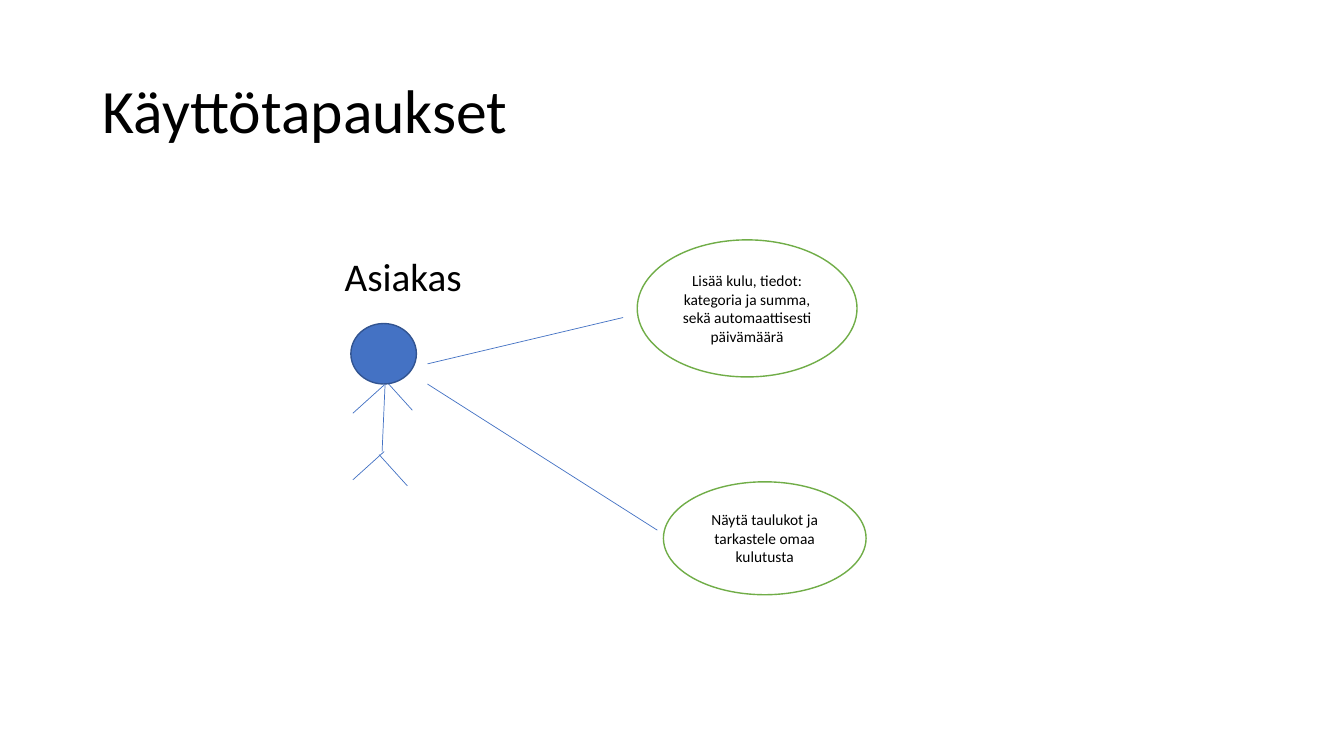
from lxml import etree
from pptx import Presentation
from pptx.dml.color import RGBColor
from pptx.enum.shapes import MSO_CONNECTOR, MSO_SHAPE
from pptx.enum.text import MSO_ANCHOR, PP_ALIGN
from pptx.oxml.ns import qn
from pptx.util import Inches, Pt

STRAIGHT = MSO_CONNECTOR.STRAIGHT
ELLIPSE = MSO_SHAPE.OVAL
MIDDLE, BOTTOM = MSO_ANCHOR.MIDDLE, MSO_ANCHOR.BOTTOM
LEFT, CENTER = PP_ALIGN.LEFT, PP_ALIGN.CENTER
TITLE_ONLY = 5

COLORS = {
    "text": "000000",
    "paper": "FFFFFF",
    "use_case": "70AD47",
    "actor": "4472C4",
    "actor_edge": "325491",
}


def color(name):
    return RGBColor.from_string(COLORS[name])


def write(frame, text, size, align=LEFT, anchor=MIDDLE, wrap=True, spacing=1.0):
    frame.word_wrap = wrap
    frame.vertical_anchor = anchor
    paragraph = frame.paragraphs[0]
    paragraph.alignment = align
    paragraph.line_spacing = spacing
    run = paragraph.add_run()
    run.text = text
    run.font.size = Pt(size)
    run.font.name = "Calibri"
    run.font.color.rgb = color("text")


class UseCaseSlide:
    def __init__(self, deck):
        self.slide = deck.slides.add_slide(deck.slide_layouts[TITLE_ONLY])
        self.shapes = self.slide.shapes

    def title(self, text, box):
        heading = self.shapes.title
        heading.left, heading.top, heading.width, heading.height = map(Inches, box)
        write(heading.text_frame, text, 44, spacing=0.9)

    def label(self, text, box):
        caption = self.shapes.add_textbox(*map(Inches, box))
        write(caption.text_frame, text, 28, anchor=BOTTOM, wrap=False)

    def ellipse(self, box, fill, edge):
        oval = self.shapes.add_shape(ELLIPSE, *map(Inches, box))
        oval.shadow.inherit = False
        oval.fill.solid()
        oval.fill.fore_color.rgb = color(fill)
        oval.line.color.rgb = color(edge)
        oval.line.width = Pt(1)
        return oval

    def use_case(self, text, box):
        oval = self.ellipse(box, "paper", "use_case")
        write(oval.text_frame, text, 11, align=CENTER)

    def line(self, start, end):
        stroke = self.shapes.add_connector(STRAIGHT, *map(Inches, start + end))
        stroke.line.color.rgb = color("actor")
        stroke.line.width = Pt(0.5)
        etree.SubElement(stroke.element.spPr, qn("a:effectLst"))


def main():
    deck = Presentation()
    deck.slide_width, deck.slide_height = Inches(13.33), Inches(7.5)
    page = UseCaseSlide(deck)

    page.title("Käyttötapaukset", (0.92, 0.4, 11.5, 1.45))
    page.use_case(
        "Lisää kulu, tiedot: kategoria ja summa, sekä automaattisesti päivämäärä",
        (6.32, 2.38, 2.18, 1.36),
    )
    page.use_case(
        "Näytä taulukot ja tarkastele omaa kulutusta", (6.58, 4.78, 2.01, 1.12)
    )

    limbs = {
        "left arm": ((3.81, 3.82), (3.5, 4.1)),
        "right arm": ((3.81, 3.76), (4.09, 4.07)),
        "body": ((3.82, 3.8), (3.79, 4.48)),
        "right leg": ((3.76, 4.51), (4.04, 4.82)),
        "left leg": ((3.81, 4.48), (3.5, 4.76)),
    }
    for start, end in limbs.values():
        page.line(start, end)
    page.ellipse((3.48, 3.21, 0.65, 0.6), "actor", "actor_edge")

    associations = [((4.24, 3.61), (6.18, 3.15)), ((4.24, 3.81), (6.52, 5.26))]
    for start, end in associations:
        page.line(start, end)
    page.label("Asiakas", (3.32, 2.26, 1.38, 0.76))

    deck.save("out.pptx")


if __name__ == "__main__":
    main()
